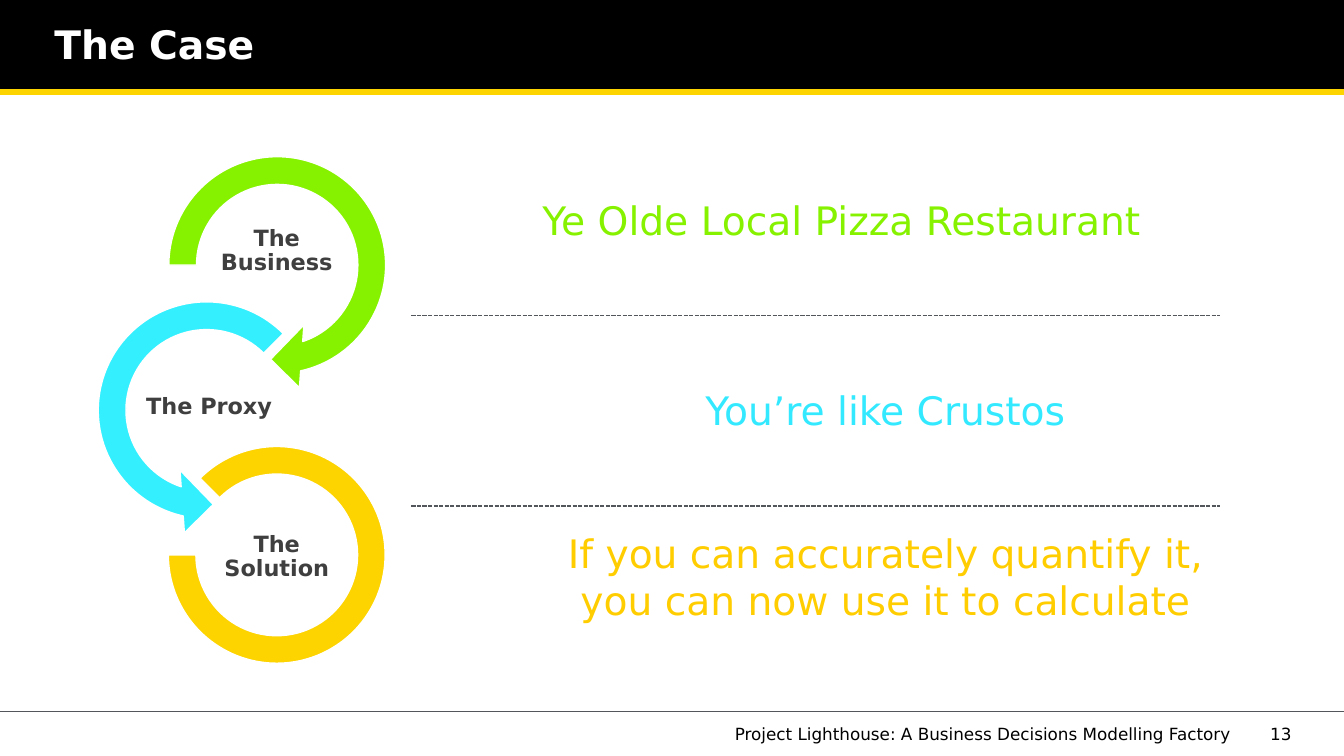
from dataclasses import dataclass

from lxml import etree
from pptx import Presentation
from pptx.dml.color import RGBColor
from pptx.enum import dml, shapes, text
from pptx.oxml import ns
from pptx.util import Inches, Pt


@dataclass(frozen=True)
class Theme:
    font: str = "DejaVu Sans"
    black: str = "000000"
    white: str = "FFFFFF"
    gray: str = "53565A"
    dark: str = "3F3F3F"
    gold: str = "FDD300"
    green: str = "86F200"
    cyan: str = "34F0FF"
    aqua: str = "32E9FF"
    amber: str = "FFCD00"
    large: int = 28
    label: int = 16
    small: int = 12


T = Theme()
LEFT, MID, RIGHT = text.PP_ALIGN.LEFT, text.PP_ALIGN.CENTER, text.PP_ALIGN.RIGHT

deck = Presentation()
deck.slide_width, deck.slide_height = Inches(13.33), Inches(7.5)
slide = deck.slides.add_slide(deck.slide_layouts[5])
items = slide.shapes


def write(box, words, size, color, align=LEFT, bold=False, pads=(0, 0, 0, 0)):
    """Fill a box with one middle-anchored paragraph; pads are left, top, right, bottom."""
    frame = box.text_frame
    frame.word_wrap = True
    frame.auto_size = text.MSO_AUTO_SIZE.NONE
    frame.vertical_anchor = text.MSO_ANCHOR.MIDDLE
    frame.margin_left, frame.margin_top, frame.margin_right, frame.margin_bottom = map(Inches, pads)
    para = frame.paragraphs[0]
    para.alignment = align
    run = para.add_run()
    run.text = words
    font = run.font
    font.name, font.size, font.bold = T.font, Pt(size), bold
    font.color.rgb = RGBColor.from_string(color)
    return para


def rule(x1, x2, y, color, width):
    """Draw a horizontal line."""
    line = items.add_connector(shapes.MSO_CONNECTOR.STRAIGHT,
                               Inches(x1), Inches(y), Inches(x2), Inches(y))
    line.line.color.rgb = RGBColor.from_string(color)
    line.line.width = Pt(width)
    etree.SubElement(line._element.spPr, ns.qn("a:effectLst"))
    return line


# Header and footer
bar = items.add_shape(shapes.MSO_SHAPE.RECTANGLE, 0, 0, deck.slide_width, Inches(0.93))
bar.shadow.inherit = False
bar.fill.solid()
bar.fill.fore_color.rgb = RGBColor.from_string(T.black)
bar.line.fill.background()
rule(0, 13.33, 7.06, T.gray, 0.75)
rule(0, 13.33, 0.91, T.gold, 4.5)

title = items.title
title.left, title.top, title.width, title.height = map(Inches, (0.54, 0.17, 11.5, 0.53))
write(title, "The Case", T.large, T.white, bold=True, pads=(0, 0.05, 0.1, 0.05))
items._spTree.append(title._element)  # bring in front of the bar

for words, left, width in (
    ("Project Lighthouse: A Business Decisions Modelling Factory", 6.71, 5.5),
    ("13", 12.31, 0.5),
):
    foot = items.add_textbox(Inches(left), Inches(7.18), Inches(width), Inches(0.2))
    write(foot, words, T.small, T.black, RIGHT)

# Chain of rings: kind, place and side, adjustments, colour, label, label place and width
rings = (
    (shapes.MSO_SHAPE.CIRCULAR_ARROW, (1.5, 1.38, 2.5),
     (0.11, 11.423, 45, 108, 0.125), T.green, "The Business", (2.05, 2.14, 1.39)),
    (shapes.MSO_SHAPE.LEFT_CIRCULAR_ARROW, (0.8, 2.82, 2.5),
     (0.11, 11.423, 63, 189, 0.125), T.cyan, "The Proxy", (1.36, 3.69, 1.43)),
    (shapes.MSO_SHAPE.BLOCK_ARC, (1.67, 4.43, 2.15),
     (135, 108, 0.127), T.gold, "The Solution", (2.05, 5.18, 1.39)),
)
for kind, (left, top, side), turns, color, words, (x, y, width) in rings:
    ring = items.add_shape(kind, Inches(left), Inches(top), Inches(side), Inches(side))
    ring.shadow.inherit = False
    for i, turn in enumerate(turns):
        ring.adjustments[i] = turn
    ring.fill.solid()
    ring.fill.fore_color.rgb = RGBColor.from_string(color)
    ring.line.color.rgb = RGBColor.from_string(T.white)
    ring.line.width = Pt(1)
    label = items.add_textbox(Inches(x), Inches(y), Inches(width), Inches(0.7))
    para = write(label, words, T.label, T.dark, MID, True, (0.01,) * 4)
    para.line_spacing = 0.9

# Statements
for words, top, height, color, align in (
    ("Ye Olde Local Pizza Restaurant", 1.9, 0.57, T.green, LEFT),
    ("You’re like Crustos", 3.78, 0.57, T.aqua, MID),
    ("If you can accurately quantify it, you can now use it to calculate",
     5.2, 1.04, T.amber, MID),
):
    box = items.add_textbox(Inches(4.78), Inches(top), Inches(7.5), Inches(height))
    para = write(box, words, T.large, color, align, pads=(0.6, 0.05, 0.1, 0.05))

for y in (3.13, 5.02):
    rule(4.08, 12.1, y, T.gray, 1).line.dash_style = dml.MSO_LINE.SQUARE_DOT

deck.save("out.pptx")
